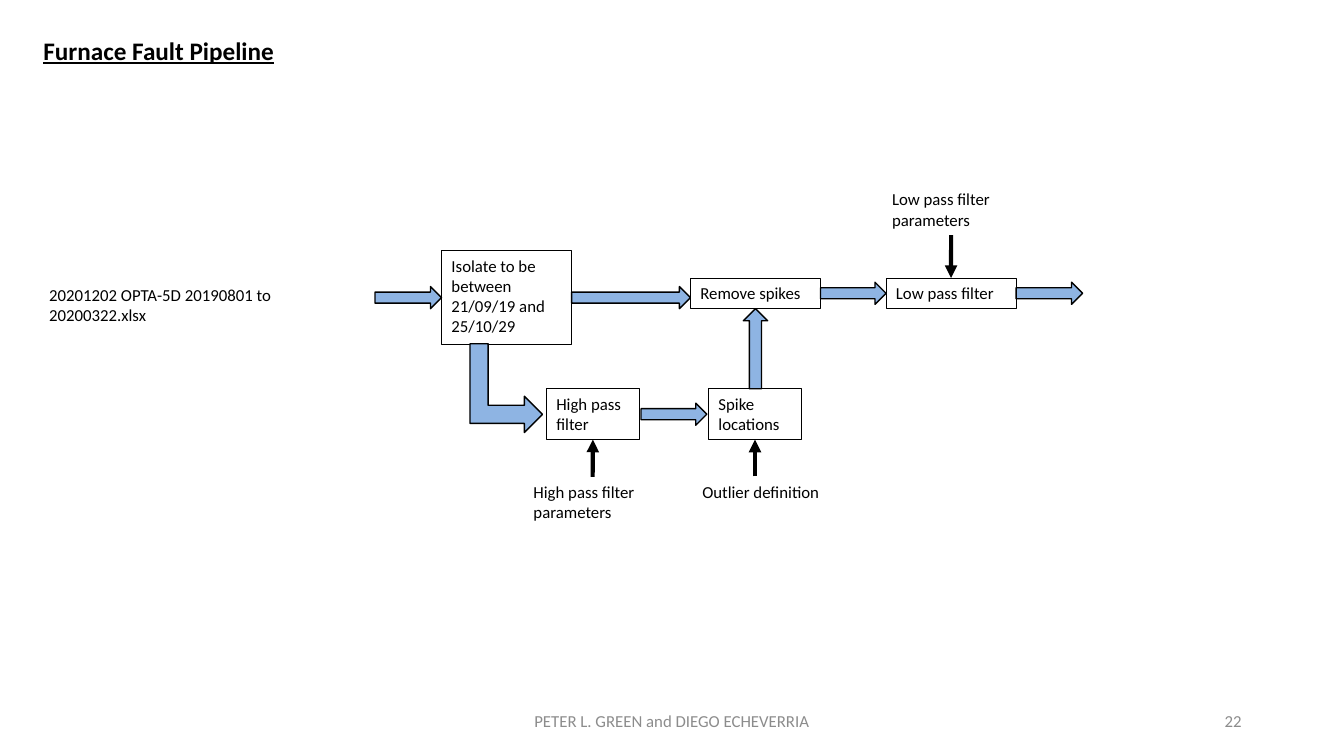
"""Build the furnace fault pipeline slide."""
from pptx import Presentation
from pptx.dml.color import RGBColor
from pptx.enum.shapes import MSO_CONNECTOR as Line, MSO_SHAPE as Shape
from pptx.enum.text import MSO_ANCHOR as Anchor, MSO_AUTO_SIZE as Fit, PP_ALIGN as Align
from pptx.oxml.ns import qn
from pptx.util import Pt
from lxml.etree import SubElement

THEME = {"font": "Calibri", "ink": "000000", "muted": "8C8C8C", "flow": "8EB4E3",
         "title": 18, "body": 12, "box_line": 0.75, "flow_line": 1, "input_line": 3}
TITLE = ("Furnace Fault Pipeline", (23.8, 21.6, 257.8, 29))
BOXES = {
    "isolate": ("Isolate to be between 21/09/19 and 25/10/29", (315.4, 179, 92.9, 67.2)),
    "high": ("High pass filter", (390.3, 277.7, 66.4, 36.35)),
    "spikes": ("Spike locations", (506.1, 277.7, 66.4, 36.35)),
    "remove": ("Remove spikes", (493.2, 198.6, 92.9, 21.8)),
    "low": ("Low pass filter", (632.9, 198.6, 92.9, 21.8)),
}
SOURCE = ("20201202 OPTA-5D 20190801 to 20200322.xlsx", (28, 199.5, 244.8, 36.35))
INPUTS = [
    ("High pass filter parameters", (374, 340.6, 98.6, 36.35), "high", 2),
    ("Outlier definition", (494.6, 340.2, 98.6, 21.8), "spikes", 2),
    ("Low pass filter parameters", (630.1, 131.6, 98.6, 36.35), "low", 0),
]
FLOWS = [("isolate", "remove", 0), ("high", "spikes", 1.2), ("remove", "low", 0)]
FOOTER = [
    ("PETER L. GREEN and DIEGO ECHEVERRIA", (318, 500.4, 324, 28.8), Align.CENTER),
    ("22", (678, 500.4, 216, 28.8), Align.RIGHT),
]
FLOW_H, FLOW_W, RISE_W = 15.8, 47.5, 17.4
BENT = (329.9, 251.3, 63.4, 51.8)


def rgb(name):
    """Return a theme colour."""
    return RGBColor.from_string(THEME[name])


def write(s, text, size="body", color="ink", align=Align.LEFT, anchor=Anchor.TOP, **font):
    """Fill a shape with one formatted paragraph."""
    tf = s.text_frame
    frame = {"word_wrap": True, "auto_size": Fit.NONE, "vertical_anchor": anchor}
    for key, value in frame.items():
        setattr(tf, key, value)
    p = tf.paragraphs[0]
    p.alignment = align
    r = p.add_run()
    r.text = text
    for key, value in {"name": THEME["font"], "size": Pt(THEME[size]), **font}.items():
        setattr(r.font, key, value)
    r.font.color.rgb = rgb(color)


def add_text(shapes, text, at, **fmt):
    """Add a text box."""
    s = shapes.add_textbox(*map(Pt, at))
    write(s, text, **fmt)
    return s


def add_outlined(shapes, kind, at, line, fill=None):
    """Add a preset shape with a black outline."""
    s = shapes.add_shape(kind, *map(Pt, at))
    s.shadow.inherit = False
    if fill:
        s.fill.solid()
        s.fill.fore_color.rgb = rgb(fill)
    else:
        s.fill.background()
    s.line.color.rgb = rgb("ink")
    s.line.width = Pt(THEME[line])
    return s


def add_flow(shapes, kind, at):
    """Add a block arrow."""
    return add_outlined(shapes, kind, at, "flow_line", "flow")


def add_right_flow(shapes, left, right, middle):
    """Add a right block arrow centred on a height."""
    add_flow(shapes, Shape.RIGHT_ARROW, (left, middle - FLOW_H / 2, right - left, FLOW_H))


def add_input(shapes, text, at, target, box, side):
    """Add a parameter label and its arrow into a box."""
    label = add_text(shapes, text, at)
    x, y, w, h = box
    mid = x + w / 2
    start, end = (at[1], y + h) if side == 2 else (at[1] + at[3], y)
    c = shapes.add_connector(Line.STRAIGHT, *map(Pt, (mid, start, mid, end)))
    if abs(at[0] + at[2] / 2 - mid) < 1:
        c.begin_connect(label, 2 - side)
    c.end_connect(target, side)
    c.line.color.rgb = rgb("ink")
    c.line.width = Pt(THEME["input_line"])
    SubElement(c.line._get_or_add_ln(), qn("a:tailEnd"), type="triangle")
    SubElement(c._element.spPr, qn("a:effectLst"))


def main():
    """Assemble and save the slide."""
    prs = Presentation()
    prs.slide_width, prs.slide_height = Pt(960), Pt(540)
    slide = prs.slides.add_slide(prs.slide_layouts[5])
    shapes = slide.shapes
    text, at = TITLE
    title = shapes.title
    for key, value in zip(("left", "top", "width", "height"), at):
        setattr(title, key, Pt(value))
    write(title, text, size="title", bold=True, underline=True)

    boxes = {}
    for name, (text, at) in BOXES.items():
        boxes[name] = add_outlined(shapes, Shape.RECTANGLE, at, "box_line")
        write(boxes[name], text)
    add_text(shapes, *SOURCE)
    spots = {name: at for name, (_, at) in BOXES.items()}
    right = {name: x + w for name, (x, y, w, h) in spots.items()}
    middle = {name: y + h / 2 for name, (x, y, w, h) in spots.items()}

    first = spots["isolate"][0]
    add_right_flow(shapes, first - FLOW_W, first, middle["isolate"])
    for begin, end, gap in FLOWS:
        add_right_flow(shapes, right[begin] + gap, spots[end][0] - gap, middle[begin])
    add_right_flow(shapes, right["low"], right["low"] + FLOW_W, middle["low"])
    x, y, w, h = spots["remove"]
    rise = (x + w / 2 - RISE_W / 2, y + h, RISE_W, spots["spikes"][1] - y - h)
    add_flow(shapes, Shape.UP_ARROW, rise)
    add_flow(shapes, Shape.BENT_UP_ARROW, BENT).rotation = 90

    for text, at, name, side in INPUTS:
        add_input(shapes, text, at, boxes[name], spots[name], side)
    for text, at, align in FOOTER:
        add_text(shapes, text, at, color="muted", align=align, anchor=Anchor.MIDDLE)
    prs.save("out.pptx")


if __name__ == "__main__":
    main()
